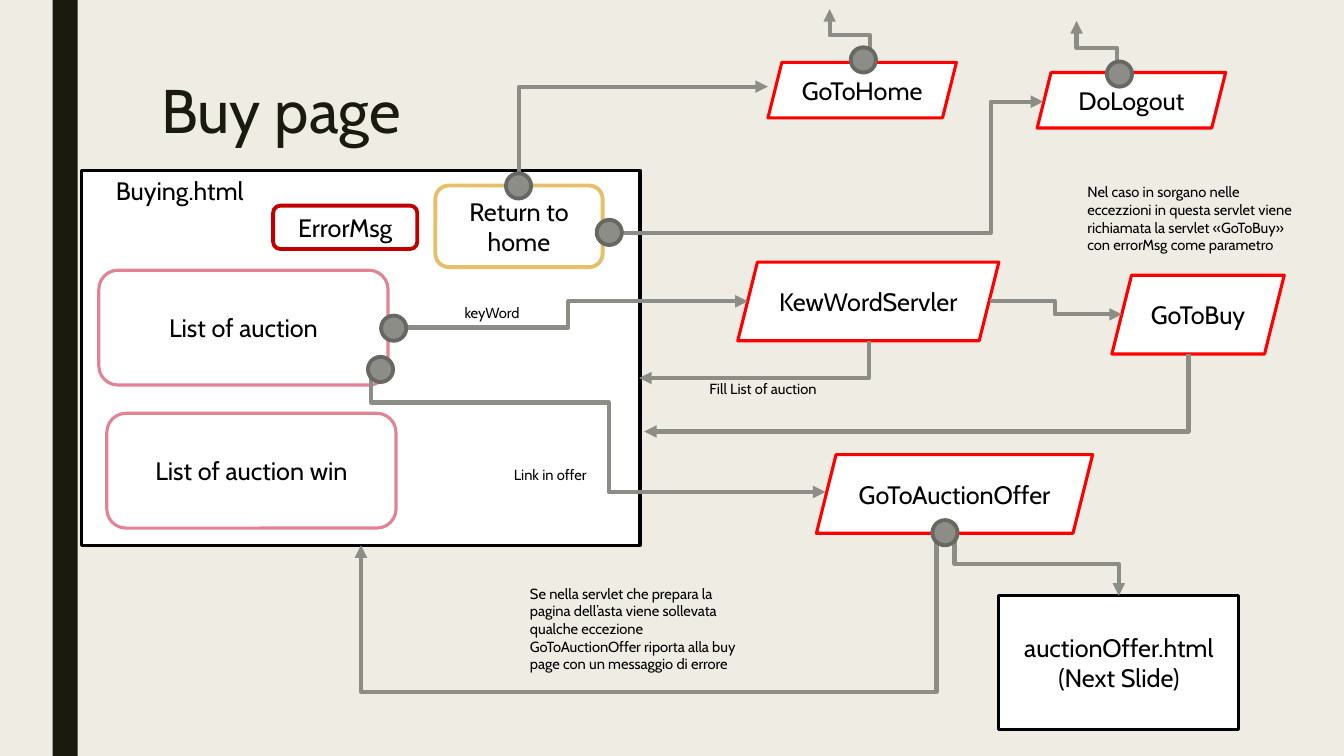
from lxml.etree import SubElement
from pptx import Presentation
from pptx.dml.color import RGBColor
from pptx.enum.shapes import MSO_CONNECTOR, MSO_SHAPE
from pptx.enum.text import MSO_ANCHOR, PP_ALIGN
from pptx.oxml.ns import qn
from pptx.util import Pt

FONT = "Cabin"
INK = "191B0E"
BLACK = "000000"
WHITE = "FFFFFF"
RED = "FF0000"
PINK = "E28394"
GREY = "8C8D86"
DOT = 18


def color(value):
    return RGBColor.from_string(value)


def add_run(p, text, size, ink=BLACK):
    r = p.add_run()
    r.text = text
    r.font.name = FONT
    r.font.size = Pt(size)
    r.font.color.rgb = color(ink)


def add_label(s, x, y, w, h, text, size=10.5, ink=BLACK, spacing=None):
    tf = s.shapes.add_textbox(Pt(x), Pt(y), Pt(w), Pt(h)).text_frame
    tf.word_wrap = True
    p = tf.paragraphs[0]
    p.line_spacing = spacing
    add_run(p, text, size, ink)


def add_box(s, kind, x, y, w, h, fill=WHITE, line=None, width=2.25, lines=()):
    sp = s.shapes.add_shape(kind, Pt(x), Pt(y), Pt(w), Pt(h))
    sp.shadow.inherit = False
    if fill:
        sp.fill.solid()
        sp.fill.fore_color.rgb = color(fill)
    else:
        sp.fill.background()
    if line:
        sp.line.color.rgb = color(line)
        sp.line.width = Pt(width)
    else:
        sp.line.fill.background()
    tf = sp.text_frame
    tf.vertical_anchor = MSO_ANCHOR.MIDDLE
    for i, text in enumerate(lines):
        p = tf.add_paragraph() if i else tf.paragraphs[0]
        p.alignment = PP_ALIGN.CENTER
        add_run(p, text, 18)


def add_servlet(s, x, y, w, h, name):
    add_box(s, MSO_SHAPE.PARALLELOGRAM, x, y, w, h, line=RED, lines=[name])


def add_dot(s, x, y):
    add_box(s, MSO_SHAPE.OVAL, x, y, DOT, DOT, GREY, "686863", 2.75)


def add_flow(s, *points):
    (x1, y1), (x2, y2) = points[0], points[-1]
    dx, dy = x2 - x1, y2 - y1
    vertical = points[1][0] == x1
    w, h = (dy, -dx) if vertical else (dx, dy)
    mx, my = (x1 + x2) / 2, (y1 + y2) / 2
    c = s.shapes.add_connector(MSO_CONNECTOR.ELBOW, Pt(mx - w / 2), Pt(my - h / 2),
                               Pt(mx + w / 2), Pt(my + h / 2))
    c.line.color.rgb = color(GREY)
    c.line.width = Pt(3)
    spPr = c._element.spPr
    SubElement(spPr.find(qn("a:ln")), qn("a:tailEnd"), type="triangle")
    SubElement(spPr, qn("a:effectLst"))
    if vertical:
        spPr.find(qn("a:xfrm")).set("rot", "5400000")

    bends = len(points) - 1
    geom = spPr.find(qn("a:prstGeom"))
    geom.set("prst", f"bentConnector{bends}")
    across = (points[1][0] - x1) / dx
    down = (points[1][1] - y1) / dy
    ratios = [down if vertical else across]
    if bends == 4:
        ratios.append((points[2][0] - x1) / dx if vertical else (points[2][1] - y1) / dy)
    if bends > 2:
        for i, ratio in enumerate(ratios, 1):
            SubElement(geom.find(qn("a:avLst")), qn("a:gd"),
                       name=f"adj{i}", fmla=f"val {round(ratio * 100000)}")


def add_pages(s):
    rect, rounded = MSO_SHAPE.RECTANGLE, MSO_SHAPE.ROUNDED_RECTANGLE
    add_box(s, rect, 58.3, 121.7, 398.9, 267.8, line=BLACK)
    add_label(s, 75.6, 121.7, 154.8, 29, "Buying.html", 18)
    add_box(s, rounded, 70.6, 193, 206.6, 82, line=PINK, lines=["List of auction"])
    add_box(s, rounded, 76.3, 295.2, 206.6, 82, line=PINK, lines=["List of auction win"])
    add_box(s, rounded, 311, 132.5, 119.5, 58.3, line="E6C069", width=2.75,
            lines=["Return to home"])
    add_box(s, rounded, 195.1, 146.9, 103, 31, None, "C00000", 2.75, ["ErrorMsg"])
    add_box(s, rect, 713.5, 425.5, 171.4, 95.8, line=BLACK,
            lines=["auctionOffer.html", "(Next Slide)"])


def add_servlets(s):
    add_servlet(s, 548.6, 44.6, 134.6, 39.6, "GoToHome")
    add_servlet(s, 740.9, 51.8, 134.6, 39.6, "DoLogout")
    add_servlet(s, 527, 187.2, 186.5, 56.2, "KewWordServler")
    add_servlet(s, 794.2, 196.6, 123.1, 56.2, "GoToBuy")
    add_servlet(s, 583.2, 324.7, 197.3, 56.2, "GoToAuctionOffer")


def add_flows(s):
    add_flow(s, (370.8, 132.5), (370.8, 61.9), (548.6, 61.9))
    add_flow(s, (440.6, 166.3), (707.8, 166.3), (707.8, 72.7), (745.2, 72.7))
    add_flow(s, (277.2, 234), (406, 234), (406, 215.3), (534.2, 215.3))
    add_flow(s, (620.6, 243.4), (620.6, 270), (456.5, 270))
    add_flow(s, (265, 257.8), (265, 287.6), (434.9, 287.6), (434.9, 351.4), (589.7, 351.4))
    add_flow(s, (681.8, 380.2), (681.8, 402.8), (799.2, 402.8), (799.2, 425.5))
    add_flow(s, (621.4, 44.6), (621.4, 25.2), (592.6, 25.2), (592.6, 6.5))
    add_flow(s, (797.8, 53.3), (797.8, 34.2), (769, 34.2), (769, 15.1))
    add_flow(s, (668.9, 386.6), (668.9, 494.6), (257.8, 494.6), (257.8, 389.5))
    add_flow(s, (707, 215.3), (753.8, 215.3), (753.8, 224.6), (801.4, 224.6))
    add_flow(s, (848.9, 252.7), (848.9, 308.2), (460.1, 308.2))


def add_labels(s):
    add_label(s, 324.7, 213.8, 79.9, 20, "keyWord")
    add_label(s, 499.7, 267.8, 162.7, 20, "Fill List of auction")
    add_label(s, 360, 329, 87.8, 20, "Link in offer")
    add_label(s, 371.5, 414, 162.7, 70.6,
              "Se nella servlet che prepara la pagina dell’asta viene sollevata qualche "
              "eccezione GoToAuctionOffer riporta alla buy page con un messaggio di errore")
    add_label(s, 769.7, 127.4, 162.7, 70.6,
              "Nel caso in sorgano nelle eccezzioni in questa servlet viene richiamata "
              "la servlet «GoToBuy» con errorMsg come parametro")


def main():
    prs = Presentation()
    prs.slide_width, prs.slide_height = Pt(960), Pt(540)
    s = prs.slides.add_slide(prs.slide_layouts[6])
    s.background.fill.solid()
    s.background.fill.fore_color.rgb = color("EFEDE3")
    add_box(s, MSO_SHAPE.RECTANGLE, 37.5, 0, 18, 540, INK)
    add_label(s, 108, 54, 756, 116.6, "Buy page", 44, INK, 0.89)
    add_pages(s)
    add_servlets(s)
    add_flows(s)
    for x, y in [(361.4, 123.8), (426.2, 157), (272.2, 225.4), (262.8, 254.9),
                 (666, 371.5), (607.7, 33.8), (790.6, 43.9)]:
        add_dot(s, x, y)
    add_labels(s)
    prs.save("out.pptx")


if __name__ == "__main__":
    main()
